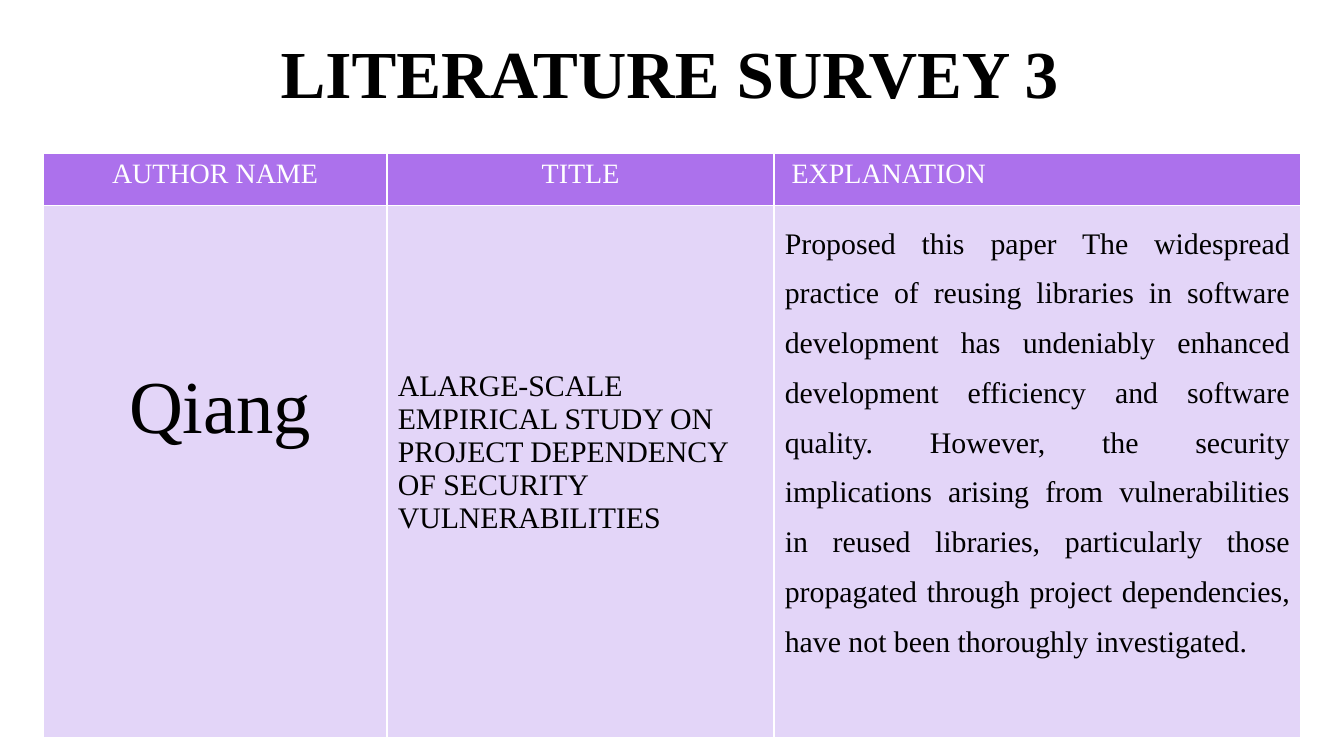
from dataclasses import dataclass

from lxml import etree
from pptx import Presentation
from pptx.dml.color import RGBColor
from pptx.enum.text import MSO_ANCHOR, PP_ALIGN
from pptx.oxml.ns import qn
from pptx.util import Inches, Pt

LEFT, CENTER, JUSTIFY = PP_ALIGN.LEFT, PP_ALIGN.CENTER, PP_ALIGN.JUSTIFY
MIDDLE = MSO_ANCHOR.MIDDLE
FONT = "Times New Roman"
BLACK, WHITE = "000000", "FFFFFF"
HEADER_FILL, BODY_FILL = "AC71EC", "E3D5F8"
SLIDE_WIDTH = Inches(10)
SLIDE_HEIGHT = SLIDE_WIDTH * 9 // 16
COLUMN_WIDTHS = (2.56, 2.88, 3.92)
ROW_HEIGHTS = (0.39, 3.96)
BORDER_SIDES = ("a:lnL", "a:lnR", "a:lnT", "a:lnB")


@dataclass
class CellContent:
    text: str
    size: float
    align: PP_ALIGN = LEFT
    left: float = 0.08
    top: float = 0.04
    line_spacing: float = 1.0


HEADER = (
    CellContent("AUTHOR NAME", 15, CENTER),
    CellContent("TITLE", 15, CENTER),
    CellContent("EXPLANATION", 15, left=0.13),
)
BODY = (
    CellContent("Qiang", 40, left=0.64, top=1.2),
    CellContent(
        "ALARGE-SCALE EMPIRICAL STUDY ON PROJECT DEPENDENCY "
        "OF SECURITY VULNERABILITIES",
        16,
        top=1.22,
    ),
    CellContent(
        "Proposed this paper The widespread practice of reusing libraries in "
        "software development has undeniably enhanced development efficiency "
        "and software quality. However, the security implications arising from "
        "vulnerabilities in reused libraries, particularly those propagated "
        "through project dependencies, have not been thoroughly investigated.",
        16,
        JUSTIFY,
        line_spacing=1.5,
    ),
)


def color(value: str) -> RGBColor:
    return RGBColor.from_string(value)


def write(frame, text: str, size: float, ink: str, align: PP_ALIGN,
          bold: bool = False, line_spacing: float = 1.0) -> None:
    frame.word_wrap = True
    para = frame.paragraphs[0]
    para.text = text
    para.alignment = align
    para.line_spacing = line_spacing
    para.font.name = FONT
    para.font.size = Pt(size)
    para.font.bold = bold
    para.font.color.rgb = color(ink)


def add_borders(cell, ink: str, width: float) -> None:
    properties = cell._tc.get_or_add_tcPr()
    for index, side in enumerate(BORDER_SIDES):
        line = etree.Element(qn(side), w=str(Pt(width)))
        fill = etree.SubElement(line, qn("a:solidFill"))
        etree.SubElement(fill, qn("a:srgbClr"), val=ink)
        properties.insert(index, line)


def fill_cell(cell, content: CellContent, fill: str, ink: str) -> None:
    cell.fill.solid()
    cell.fill.fore_color.rgb = color(fill)
    cell.margin_left, cell.margin_right = Inches(content.left), Inches(0.08)
    cell.margin_top, cell.margin_bottom = Inches(content.top), Inches(0.04)
    write(cell.text_frame, content.text, content.size, ink, content.align,
          line_spacing=content.line_spacing)
    add_borders(cell, WHITE, 1)


def add_title(page, text: str) -> None:
    box = page.shapes.add_textbox(Inches(1.99), Inches(0.31), Inches(6.18), Inches(0.45))
    frame = box.text_frame
    frame.vertical_anchor = MIDDLE
    frame.margin_left = frame.margin_right = Inches(0.1)
    frame.margin_top = frame.margin_bottom = Inches(0.1)
    write(frame, text, 36, BLACK, LEFT, bold=True)


def add_survey_table(page) -> None:
    table = page.shapes.add_table(
        len(ROW_HEIGHTS), len(COLUMN_WIDTHS), Inches(0.32), Inches(1.14),
        Inches(sum(COLUMN_WIDTHS)), Inches(sum(ROW_HEIGHTS)),
    ).table
    table.horz_banding = False
    for column, width in zip(table.columns, COLUMN_WIDTHS):
        column.width = Inches(width)
    for row, height in zip(table.rows, ROW_HEIGHTS):
        row.height = Inches(height)
    styles = ((HEADER, HEADER_FILL, WHITE), (BODY, BODY_FILL, BLACK))
    for row, (contents, fill, ink) in zip(table.rows, styles):
        for cell, content in zip(row.cells, contents):
            fill_cell(cell, content, fill, ink)


def main() -> None:
    deck = Presentation()
    deck.slide_width, deck.slide_height = SLIDE_WIDTH, SLIDE_HEIGHT
    page = deck.slides.add_slide(deck.slide_layouts[6])
    add_title(page, "LITERATURE SURVEY 3")
    add_survey_table(page)
    deck.save("out.pptx")


if __name__ == "__main__":
    main()
